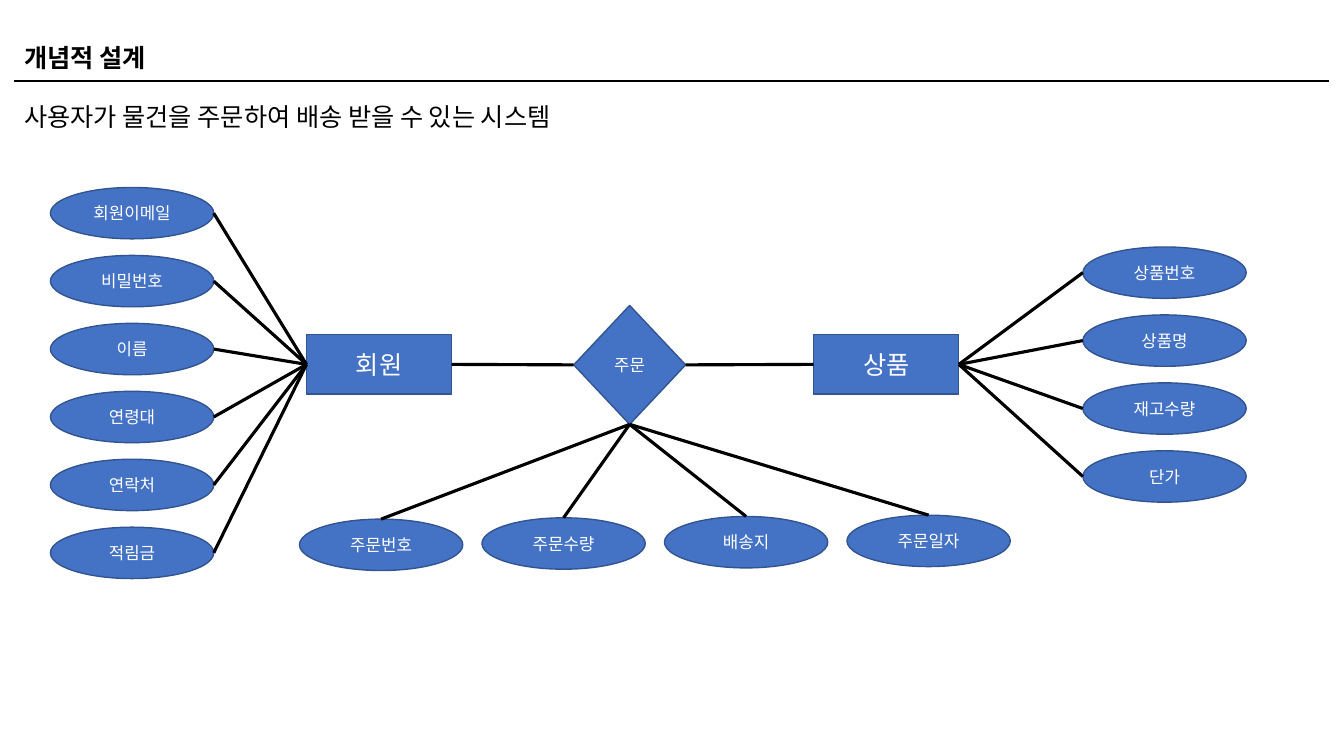
"""Draw the conceptual design slide: an entity-relationship diagram of an ordering system."""
from dataclasses import dataclass

from lxml.etree import SubElement
from pptx import Presentation
from pptx.dml.color import RGBColor
from pptx.enum.shapes import MSO_CONNECTOR, MSO_SHAPE
from pptx.enum.text import MSO_ANCHOR, PP_ALIGN
from pptx.oxml.ns import qn
from pptx.shapes.autoshape import Shape
from pptx.shapes.connector import Connector
from pptx.slide import Slide
from pptx.text.text import TextFrame
from pptx.util import Inches, Pt

FONT = "Noto Sans CJK KR"
COLORS = {"ink": "000000", "node": "4472C4", "border": "325491", "label": "FFFFFF"}
TOP, LEFT, BOTTOM, RIGHT = range(4)
OVAL_WIDTH, OVAL_HEIGHT = 1.62, 0.51


@dataclass(frozen=True)
class Node:
    label: str
    kind: MSO_SHAPE
    left: float
    top: float
    width: float
    height: float
    size: int = 12


@dataclass(frozen=True)
class AttributeGroup:
    owner: str
    owner_site: int
    oval_site: int
    left: float
    top: float
    step_x: float
    step_y: float
    labels: tuple[str, ...]


NODES = (
    Node("회원", MSO_SHAPE.RECTANGLE, 3.04, 3.32, 1.44, 0.59, 18),
    Node("상품", MSO_SHAPE.RECTANGLE, 8.07, 3.32, 1.44, 0.59, 18),
    Node("주문", MSO_SHAPE.DIAMOND, 5.69, 3.03, 1.11, 1.18),
)
RELATIONS = (("회원", "주문"), ("주문", "상품"))
ATTRIBUTE_GROUPS = (
    AttributeGroup("회원", LEFT, RIGHT, 0.5, 1.86, 0, 0.674,
                   ("회원이메일", "비밀번호", "이름", "연령대", "연락처", "적림금")),
    AttributeGroup("상품", RIGHT, LEFT, 10.74, 2.45, 0, 0.674,
                   ("상품번호", "상품명", "재고수량", "단가")),
    AttributeGroup("주문", BOTTOM, TOP, 2.97, 5.15, 1.81, -0.013,
                   ("주문번호", "주문수량", "배송지", "주문일자")),
)


def write(frame: TextFrame, text: str, size: int, color: str, bold: bool = False) -> None:
    """Put one styled line of text into a frame."""
    frame.text = text
    frame.word_wrap = True
    run = frame.paragraphs[0].runs[0]
    run.font.size = Pt(size)
    run.font.bold = bold
    run.font.color.rgb = RGBColor.from_string(COLORS[color])
    run.font.name = FONT
    SubElement(run.font._element, qn("a:ea")).set("typeface", FONT)


def add_heading(slide: Slide, text: str, top: float, bold: bool) -> None:
    """Add a full-width line of heading text."""
    heading = slide.shapes.add_textbox(Inches(0.14), Inches(top), Inches(13.04), Inches(0.4))
    write(heading.text_frame, text, 18, "ink", bold)


def add_node(slide: Slide, node: Node) -> Shape:
    """Add a filled diagram node with a centred label."""
    shape = slide.shapes.add_shape(node.kind, Inches(node.left), Inches(node.top),
                                   Inches(node.width), Inches(node.height))
    shape.shadow.inherit = False
    shape.fill.solid()
    shape.fill.fore_color.rgb = RGBColor.from_string(COLORS["node"])
    shape.line.color.rgb = RGBColor.from_string(COLORS["border"])
    shape.line.width = Pt(1)
    write(shape.text_frame, node.label, node.size, "label")
    shape.text_frame.vertical_anchor = MSO_ANCHOR.MIDDLE
    shape.text_frame.paragraphs[0].alignment = PP_ALIGN.CENTER
    return shape


def add_line(slide: Slide, start: tuple[int, int], end: tuple[int, int],
             weight: float = 2.25) -> Connector:
    """Add a straight line without a shadow."""
    line = slide.shapes.add_connector(MSO_CONNECTOR.STRAIGHT, *start, *end)
    line.line.color.rgb = RGBColor.from_string(COLORS["ink"])
    line.line.width = Pt(weight)
    SubElement(line._element.spPr, qn("a:effectLst"))
    return line


def site_point(shape: Shape, site: int) -> tuple[int, int]:
    """Return the middle of one side of a shape."""
    middle_x = shape.left + shape.width // 2
    middle_y = shape.top + shape.height // 2
    return {
        TOP: (middle_x, shape.top),
        LEFT: (shape.left, middle_y),
        BOTTOM: (middle_x, shape.top + shape.height),
        RIGHT: (shape.left + shape.width, middle_y),
    }[site]


def add_attributes(slide: Slide, group: AttributeGroup, owner: Shape) -> None:
    """Add evenly spaced attribute ovals, each joined to its owner."""
    for index, label in enumerate(group.labels):
        oval = add_node(slide, Node(label, MSO_SHAPE.OVAL, group.left + index * group.step_x,
                                    group.top + index * group.step_y, OVAL_WIDTH, OVAL_HEIGHT))
        link = add_line(slide, site_point(owner, group.owner_site),
                        site_point(oval, group.oval_site))
        link.begin_connect(owner, group.owner_site)


def main() -> None:
    """Build the slide and save it."""
    presentation = Presentation()
    presentation.slide_width = Inches(13.33)
    presentation.slide_height = Inches(7.5)
    slide = presentation.slides.add_slide(presentation.slide_layouts[6])

    add_line(slide, (Inches(0.14), Inches(0.8)), (Inches(13.18), Inches(0.8)), 1.5)
    add_heading(slide, "개념적 설계", 0.37, True)
    add_heading(slide, "사용자가 물건을 주문하여 배송 받을 수 있는 시스템", 0.96, False)

    nodes = {node.label: add_node(slide, node) for node in NODES}
    for source, target in RELATIONS:
        relation = add_line(slide, site_point(nodes[source], RIGHT),
                            site_point(nodes[target], LEFT))
        relation.begin_connect(nodes[source], RIGHT)
        relation.end_connect(nodes[target], LEFT)
    for group in ATTRIBUTE_GROUPS:
        add_attributes(slide, group, nodes[group.owner])

    presentation.save("out.pptx")


if __name__ == "__main__":
    main()
